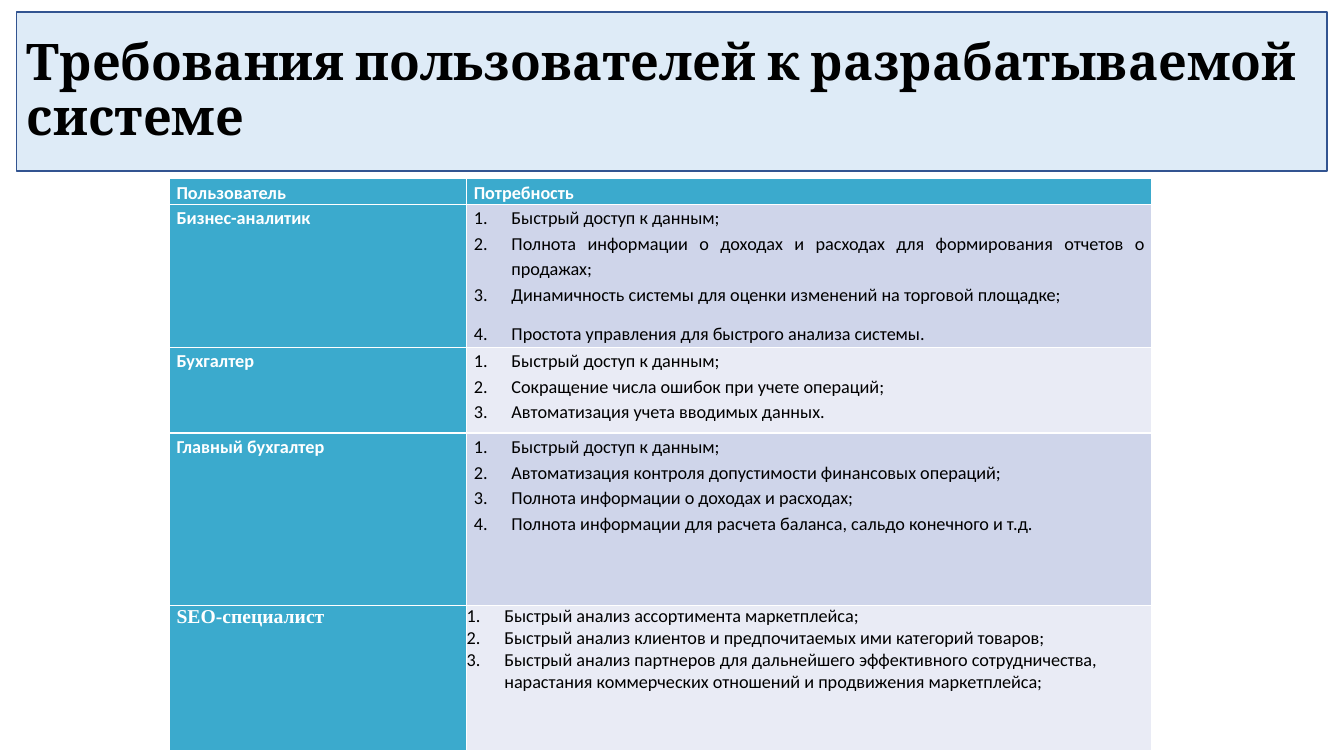
from lxml.etree import SubElement
from pptx import Presentation
from pptx.dml.color import RGBColor
from pptx.enum.text import MSO_ANCHOR, MSO_AUTO_SIZE, PP_ALIGN
from pptx.oxml.ns import qn
from pptx.util import Cm, Pt

TITLE = "Требования пользователей к разрабатываемой системе"
HEADINGS = ("Пользователь", "Потребность")
NEEDS = [
    ("Бизнес-аналитик", [
        "Быстрый доступ к данным;",
        "Полнота информации о доходах и расходах для формирования отчетов о продажах;",
        "Динамичность системы для оценки изменений на торговой площадке;",
        "Простота управления для быстрого анализа системы.",
    ]),
    ("Бухгалтер", [
        "Быстрый доступ к данным;",
        "Сокращение числа ошибок при учете операций;",
        "Автоматизация учета вводимых данных.",
    ]),
    ("Главный бухгалтер", [
        "Быстрый доступ к данным;",
        "Автоматизация контроля допустимости финансовых операций;",
        "Полнота информации о доходах и расходах;",
        "Полнота информации для расчета баланса, сальдо конечного и т.д.",
    ]),
    ("SEO-специалист", [
        "Быстрый анализ ассортимента маркетплейса;",
        "Быстрый анализ клиентов и предпочитаемых ими категорий товаров;",
        "Быстрый анализ партнеров для дальнейшего эффективного сотрудничества, "
        "нарастания коммерческих отношений и продвижения маркетплейса;",
    ]),
]
COLUMN_WIDTHS = (7.49, 17.25)
ROW_HEIGHTS = (0.61, 3.61, 2.16, 4.34, 3.66)
SPACED_NEED = NEEDS[0][1][2]
COLORS = {
    "title_fill": "DEEBF7", "title_line": "325491", "accent": "3BAACD",
    "band_dark": "CFD5EA", "band_light": "E9EBF5", "white": "FFFFFF", "black": "000000",
}


def color(name):
    return RGBColor.from_string(COLORS[name])


def style_font(paragraph, font_name, size, font_color, bold):
    for run in paragraph.runs:
        run.font.name = font_name
        run.font.size = Pt(size)
        run.font.bold = bold
        run.font.color.rgb = color(font_color)


def number(paragraph):
    properties = paragraph._p.get_or_add_pPr()
    properties.set("marL", str(Cm(0.95)))
    properties.set("indent", str(-Cm(0.95)))
    SubElement(properties, qn("a:buAutoNum"), type="arabicPeriod")


def fill_cell(cell, lines, fill, numbered=False, compact=False):
    """Compact cells have no margins, exact line spacing and left alignment."""
    cell.fill.solid()
    cell.fill.fore_color.rgb = color(fill)
    cell.margin_top = cell.margin_bottom = 0
    cell.margin_left = cell.margin_right = 0 if compact else Cm(0.18)
    cell.text_frame.text = "\n".join(lines)
    for paragraph in cell.text_frame.paragraphs:
        paragraph.alignment = PP_ALIGN.LEFT if compact else PP_ALIGN.JUSTIFY
        paragraph.line_spacing = Pt(15.8) if compact else 1.15
        ends_group = paragraph.text in (lines[-1], SPACED_NEED)
        paragraph.space_after = Pt(10 if ends_group and not compact else 0)
        if numbered:
            number(paragraph)
            style_font(paragraph, "Calibri", 13, "black", False)
        elif compact:
            paragraph._p.get_or_add_pPr().set("marL", str(Cm(0.18)))
            style_font(paragraph, "Times New Roman", 14, "white", True)
        else:
            style_font(paragraph, "Calibri", 13, "white", True)


def add_needs_table(slide):
    table = slide.shapes.add_table(
        len(ROW_HEIGHTS), len(COLUMN_WIDTHS), Cm(4.27), Cm(4.5),
        Cm(sum(COLUMN_WIDTHS)), Cm(sum(ROW_HEIGHTS))).table
    for column, width in zip(table.columns, COLUMN_WIDTHS):
        column.width = Cm(width)
    for row, height in zip(table.rows, ROW_HEIGHTS):
        row.height = Cm(height)
    for column, heading in enumerate(HEADINGS):
        fill_cell(table.cell(0, column), [heading], "accent")
    for row, (user, needs) in enumerate(NEEDS, start=1):
        compact = row == len(NEEDS)
        band = "band_dark" if row % 2 else "band_light"
        fill_cell(table.cell(row, 0), [user], "accent", compact=compact)
        fill_cell(table.cell(row, 1), needs, band, numbered=True, compact=compact)


def format_title(title):
    title.left, title.top, title.width, title.height = Cm(0.42), Cm(0.3), Cm(33.02), Cm(4.01)
    title.fill.solid()
    title.fill.fore_color.rgb = color("title_fill")
    title.line.color.rgb = color("title_line")
    title.line.width = Pt(1)
    frame = title.text_frame
    frame.text = TITLE
    frame.word_wrap = True
    frame.auto_size = MSO_AUTO_SIZE.NONE
    frame.vertical_anchor = MSO_ANCHOR.MIDDLE
    heading = frame.paragraphs[0]
    heading.alignment = PP_ALIGN.LEFT
    heading.line_spacing = 0.9
    style_font(heading, "Cambria", 36, "black", True)


def main():
    presentation = Presentation()
    presentation.slide_width, presentation.slide_height = Cm(33.87), Cm(19.05)
    slide = presentation.slides.add_slide(presentation.slide_layouts[5])
    format_title(slide.shapes.title)
    add_needs_table(slide)
    presentation.save("out.pptx")


if __name__ == "__main__":
    main()
